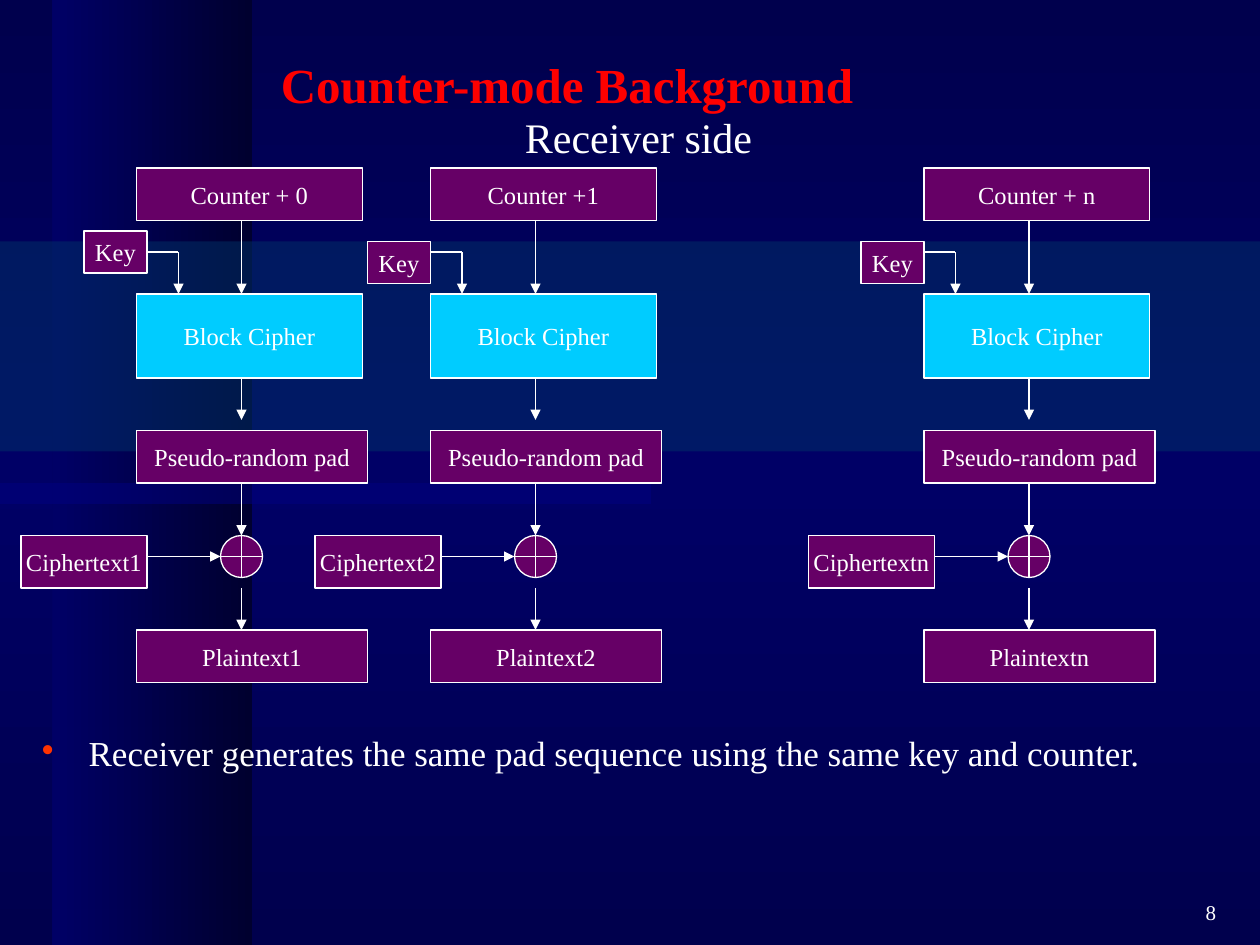
"""Build the slide on the receiver side of counter-mode encryption."""
from copy import deepcopy

from lxml.etree import SubElement
from pptx import Presentation
from pptx.dml.color import RGBColor
from pptx.enum.shapes import MSO_CONNECTOR, MSO_SHAPE
from pptx.enum.text import MSO_ANCHOR, PP_ALIGN
from pptx.oxml.ns import qn
from pptx.util import Inches, Pt

FONT = "Times New Roman"
WHITE, PURPLE, CYAN, RED, ORANGE = "FFFFFF", "660066", "00CCFF", "FF0000", "FF3300"
TITLE = "Counter-mode Background"
SUBTITLE = "Receiver side"
TAKEAWAY = "Receiver generates the same pad sequence using the same key and counter."
PAGE = "8"
BACKDROP = ["00004D", "000066", "00004D"]
PILLAR = ["00002F", "000066"]
BANDS = [("000080", (0, 46, 62, 2)), ("003366", (0, 23, 120, 20))]
STAGES = [
    {"left": 13, "counter": "Counter + 0", "suffix": "1", "key": (-5, 22)},
    {"left": 41, "counter": "Counter +1", "suffix": "2", "key": (-6, 23)},
    {"left": 88, "counter": "Counter + n", "suffix": "n", "key": (-6, 23)},
]
COLUMNS, ROWS = 120, 90

deck = Presentation()
deck.slide_width, deck.slide_height = Inches(10), Inches(7.5)
slide = deck.slides.add_slide(deck.slide_layouts[5])


def across(columns):
    return round(deck.slide_width * columns / COLUMNS)


def down(rows):
    return round(deck.slide_height * rows / ROWS)


def place(left, top, width, height):
    return across(left), down(top), across(width), down(height)


def rgb(colour):
    return RGBColor.from_string(colour)


def paint_gradient(fill, owner, colours, angle):
    fill.gradient()
    fill.gradient_angle = angle
    stop_list = next(owner.iter(qn("a:gsLst")))
    for _ in colours[2:]:
        stop_list.append(deepcopy(stop_list[0]))
    for index, (stop, colour) in enumerate(zip(fill.gradient_stops, colours)):
        stop.color.rgb = rgb(colour)
        stop.position = index / (len(colours) - 1)


def write(frame, text, size, colour=WHITE, align=PP_ALIGN.CENTER,
          anchor=MSO_ANCHOR.MIDDLE, wrap=True, bold=False):
    frame.text = text
    frame.word_wrap = wrap
    frame.vertical_anchor = anchor
    paragraph = frame.paragraphs[0]
    paragraph.alignment = align
    font = paragraph.runs[0].font
    font.name, font.size, font.bold = FONT, Pt(size), bold
    font.color.rgb = rgb(colour)
    return paragraph


def add_note(area, text, size, align=PP_ALIGN.LEFT, anchor=MSO_ANCHOR.TOP, inset=0):
    frame = slide.shapes.add_textbox(*place(*area)).text_frame
    frame.margin_left = frame.margin_right = Inches(inset)
    frame.margin_top = frame.margin_bottom = Inches(inset / 2)
    paragraph = write(frame, text, size, align=align, anchor=anchor)
    paragraph.line_spacing = 0.95
    return paragraph


def add_panel(area):
    panel = slide.shapes.add_shape(MSO_SHAPE.RECTANGLE, *place(*area))
    panel.shadow.inherit = False
    panel.line.fill.background()
    return panel


def add_block(area, text="", colour=PURPLE, outline=MSO_SHAPE.RECTANGLE):
    block = slide.shapes.add_shape(outline, *place(*area))
    block.shadow.inherit = False
    block.fill.solid()
    block.fill.fore_color.rgb = rgb(colour)
    block.line.color.rgb = rgb(WHITE)
    block.line.width = Pt(0.75)
    if text:
        write(block.text_frame, text, 14, wrap=False)


def add_line(x1, y1, x2, y2, arrow=False):
    wire = slide.shapes.add_connector(
        MSO_CONNECTOR.STRAIGHT, across(x1), down(y1), across(x2), down(y2))
    wire.line.color.rgb = rgb(WHITE)
    wire.line.width = Pt(0.75)
    properties = wire.element.spPr
    if arrow:
        SubElement(properties.find(qn("a:ln")), qn("a:tailEnd"), type="triangle")
    SubElement(properties, qn("a:effectLst"))


def add_stage(left, counter, suffix, key):
    middle = left + 10
    key_left, key_top = left + key[0], key[1]
    key_right = key_left + 6

    add_block((left, 16, 21.5, 5), counter)
    add_block((key_left, key_top, 6, 4), "Key")
    add_block((left, 28, 21.5, 8), "Block Cipher", CYAN)
    add_block((left, 41, 22, 5), "Pseudo-random pad")
    add_block((left - 11, 51, 12, 5), "Ciphertext" + suffix)
    add_block((left, 60, 22, 5), "Plaintext" + suffix)
    add_block((middle - 2, 51, 4, 4), outline=MSO_SHAPE.OVAL)

    add_line(middle - 2, 53, middle + 2, 53)
    add_line(middle, 51, middle, 55)
    add_line(key_right, 24, key_right + 3, 24)
    add_line(key_right + 3, 24, key_right + 3, 28, arrow=True)
    add_line(left + 1, 53, middle - 2, 53, arrow=True)
    for start, end in [(21, 28), (36, 40), (46, 51), (56, 60)]:
        add_line(middle, start, middle, end, arrow=True)


paint_gradient(slide.background.fill, slide.element, BACKDROP, 90)
pillar = add_panel((5, 0, 19, 90))
paint_gradient(pillar.fill, pillar.element, PILLAR, 180)
for colour, area in BANDS:
    band = add_panel(area)
    band.fill.solid()
    band.fill.fore_color.rgb = rgb(colour)
    SubElement(next(band.element.spPr.iter(qn("a:srgbClr"))), qn("a:alpha"), val="50000")

for stage in STAGES:
    add_stage(**stage)

title = slide.shapes.title
title.left, title.top, title.width, title.height = place(3, 5, 102, 6.5)
write(title.text_frame, TITLE, 28, RED, bold=True).line_spacing = 0.95
slide.shapes.element.append(title.element)

add_note((50, 11, 23, 4.5), SUBTITLE, 24)
takeaway = add_note((4, 70, 113, 4), TAKEAWAY, 20)
layout = takeaway._p.get_or_add_pPr()
layout.set("marL", str(Inches(0.37)))
layout.set("indent", str(-Inches(0.37)))
SubElement(SubElement(layout, qn("a:buClr")), qn("a:srgbClr"), val=ORANGE)
SubElement(layout, qn("a:buChar"), char="•")
add_note((92, 84, 25, 6), PAGE, 12, PP_ALIGN.RIGHT, MSO_ANCHOR.MIDDLE, 0.1)

deck.save("out.pptx")
